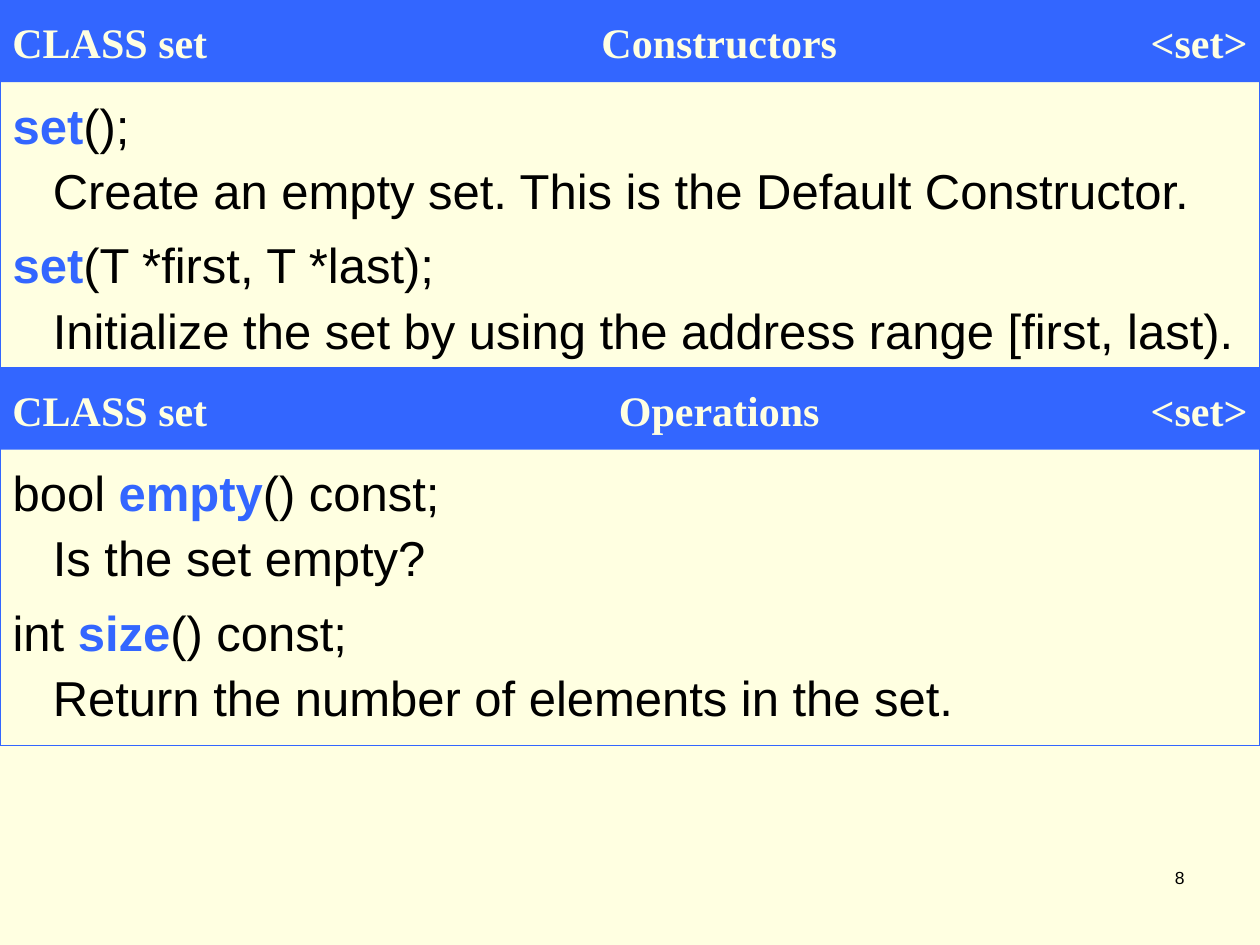
import pptx
import pptx.util
import pptx.dml.color
import pptx.enum.shapes
import pptx.enum.text
import pptx.oxml.ns
import lxml.etree

Pt = pptx.util.Pt
ALIGN = pptx.enum.text.PP_ALIGN
RECTANGLE = pptx.enum.shapes.MSO_SHAPE.RECTANGLE

THEME = {
    "cream": pptx.dml.color.RGBColor.from_string("FFFFE1"),
    "blue": pptx.dml.color.RGBColor.from_string("3366FF"),
    "black": pptx.dml.color.RGBColor.from_string("000000"),
    "heading": {"name": "Times New Roman", "size": Pt(24), "bold": True},
    "code": {"name": "Arial", "size": Pt(28), "bold": True},
    "text": {"name": "Arial", "size": Pt(28), "bold": False},
    "number": {"name": "Arial", "size": Pt(10), "bold": False},
}
FRAME = {
    "word_wrap": True,
    "auto_size": pptx.enum.text.MSO_AUTO_SIZE.NONE,
    "vertical_anchor": pptx.enum.text.MSO_ANCHOR.TOP,
    "margin_left": Pt(7.2),
    "margin_right": Pt(7.2),
    "margin_top": Pt(3.6),
    "margin_bottom": Pt(3.6),
}
HEADING = {"space_before": Pt(15), "line_spacing": 1.0}
ENTRY = {"space_before": Pt(12.2), "line_spacing": 0.75, "alignment": ALIGN.LEFT}


def apply_format(target, values):
    for attribute, value in values.items():
        setattr(target, attribute, value)


def write_box(box, place, lines, paragraph_format, indents=(0,)):
    for side, length in zip(("left", "top", "width", "height"), place):
        setattr(box, side, Pt(length))
    apply_format(box.text_frame, FRAME)
    for position, (line, indent) in enumerate(zip(lines, indents)):
        paragraph = box.text_frame.paragraphs[0] if position == 0 else box.text_frame.add_paragraph()
        apply_format(paragraph, paragraph_format)
        properties = paragraph._p.get_or_add_pPr()
        properties.set("marL", str(Pt(indent)))
        properties.set("indent", "0")
        lxml.etree.SubElement(properties, pptx.oxml.ns.qn("a:buNone"))
        for words, style, colour in line:
            run = paragraph.add_run()
            run.text = words
            apply_format(run.font, THEME[style])
            run.font.color.rgb = THEME[colour]


SECTIONS = [
    ("Constructors", [
        ("", "set", "();", "Create an empty set. This is the Default Constructor."),
        ("", "set", "(T *first, T *last);", "Initialize the set by using the address range [first, last)."),
    ]),
    ("Operations", [
        ("bool ", "empty", "() const;", "Is the set empty?"),
        ("int ", "size", "() const;", "Return the number of elements in the set."),
    ]),
]

deck = pptx.Presentation()
apply_format(deck, {"slide_width": Pt(720), "slide_height": Pt(540)})
slide = deck.slides.add_slide(deck.slide_layouts.get_by_name("Comparison"))
slide.background.fill.solid()
slide.background.fill.fore_color.rgb = THEME["cream"]
shapes = slide.shapes
title = shapes.title
entry_bodies = iter([body for body in slide.placeholders if 1 <= body.placeholder_format.idx <= 4])

page_number = shapes.add_textbox(0, 0, 0, 0)
write_box(page_number, (534, 492, 150, 36), [[("8", "number", "black")]], {"alignment": ALIGN.RIGHT})

for section, (topic, entries) in enumerate(SECTIONS):
    top = 210 * section
    for height, colour in ((216, "cream"), (47, "blue")):
        panel = shapes.add_shape(RECTANGLE, 0, Pt(top), Pt(720), Pt(height))
        panel.shadow.inherit = False
        panel.fill.solid()
        panel.fill.fore_color.rgb = THEME[colour]
        if colour == "cream":
            panel.line.color.rgb = THEME["blue"]
            panel.line.width = Pt(0.75)
        else:
            panel.line.fill.background()

    for words, left, width, alignment in (
        ("CLASS set", 0, 555, ALIGN.LEFT),
        (topic, 109.5, 603, ALIGN.CENTER),
        ("<set>", 438, 282, ALIGN.RIGHT),
    ):
        heading = title if words == "Constructors" else shapes.add_textbox(0, 0, 0, 0)
        shapes._spTree.append(heading._element)
        write_box(heading, (left, top + 6, width, 36), [[(words, "heading", "cream")]],
                  {**HEADING, "alignment": alignment})

    for row, (result, function, signature, meaning) in enumerate(entries):
        entry = next(entry_bodies)
        shapes._spTree.append(entry._element)
        declaration = [(result, "text", "black"), (function, "code", "blue"), (signature, "text", "black")]
        lines = [[part for part in declaration if part[0]], [(meaning, "text", "black")]]
        write_box(entry, (0, top + 58.5 + 80 * row, 720, 70), lines, ENTRY, (0, 23))

deck.save("out.pptx")
